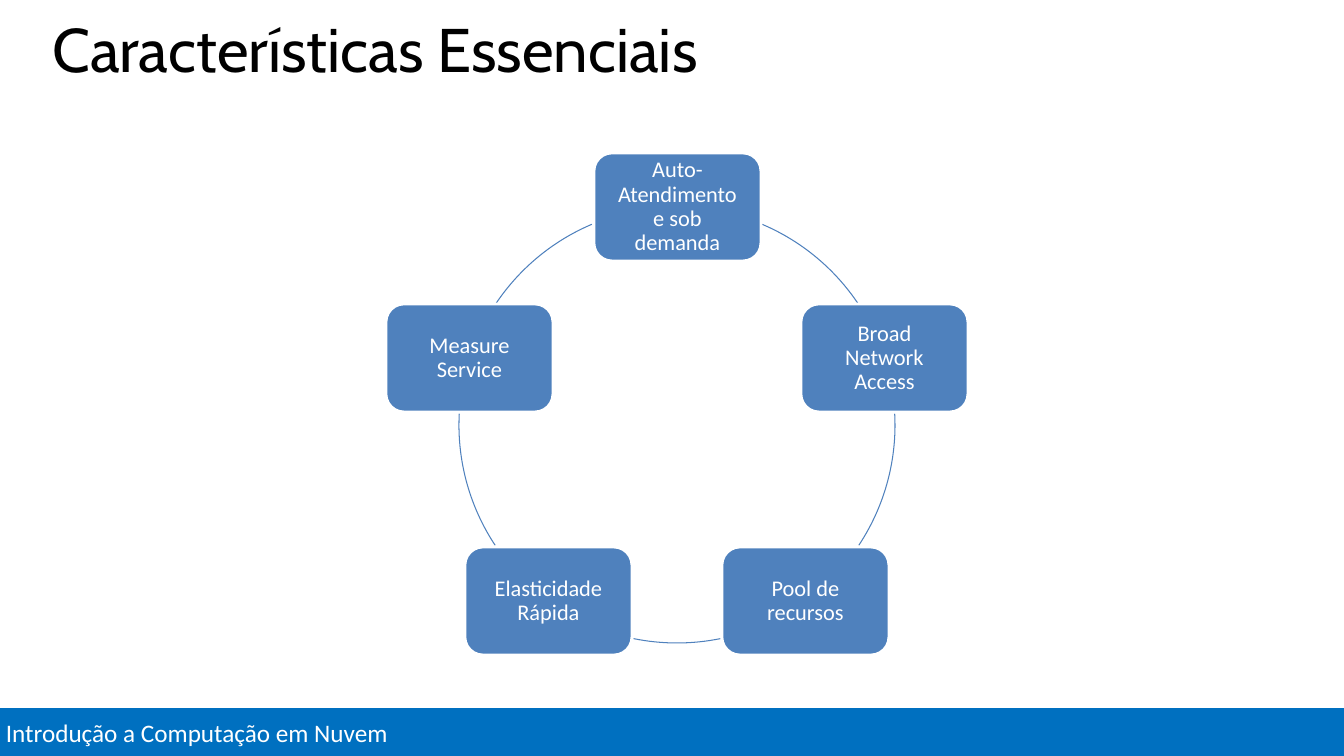
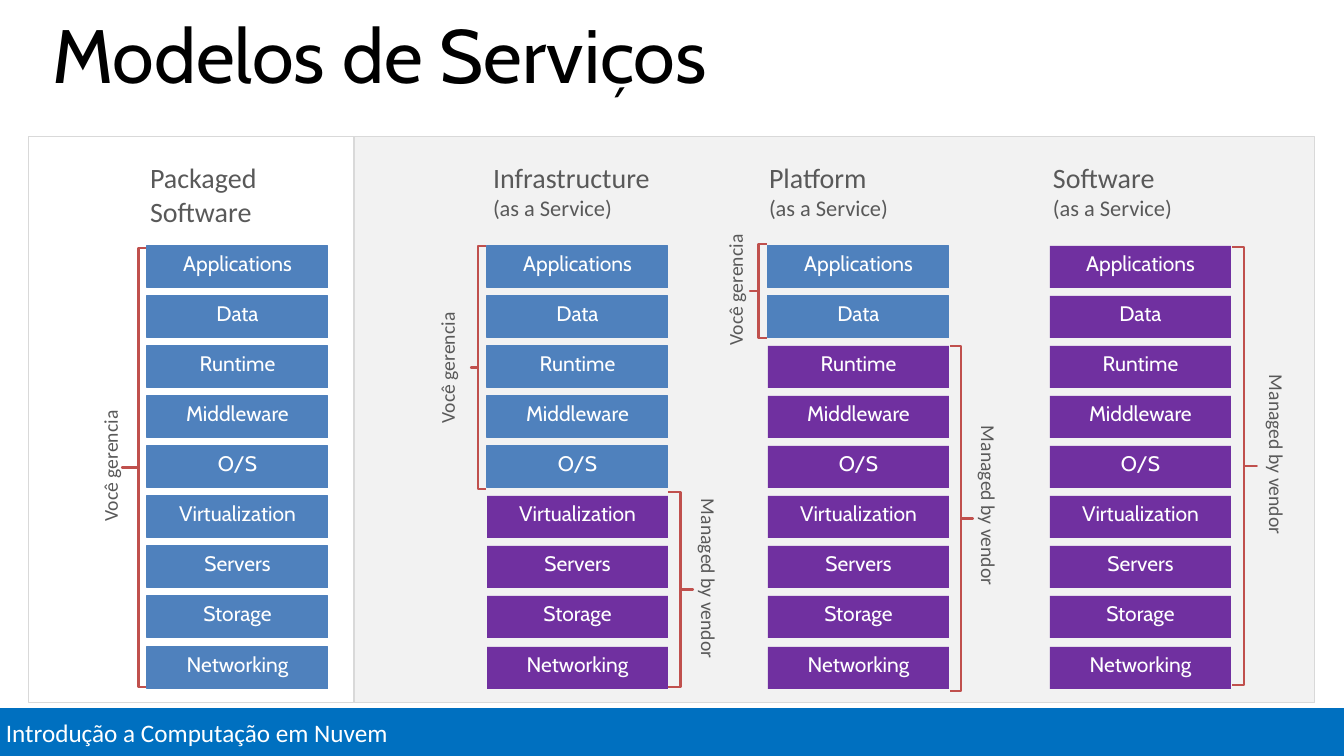
from math import cos, radians, sin

from pptx import Presentation
from pptx.dml.color import RGBColor
from pptx.enum.shapes import MSO_SHAPE
from pptx.enum.text import MSO_ANCHOR, MSO_AUTO_SIZE, PP_ALIGN
from pptx.util import Emu, Pt

SCALE = 914400 / 100.8  # EMU in one px

WHITE = RGBColor(0xFF, 0xFF, 0xFF)
BLACK = RGBColor(0x00, 0x00, 0x00)
BAND = RGBColor(0x00, 0x70, 0xC0)
BLUE = RGBColor(0x4F, 0x81, 0xBD)
PURPLE = RGBColor(0x70, 0x30, 0xA0)
RED = RGBColor(0xC0, 0x50, 0x4D)
GRAY = RGBColor(0x59, 0x59, 0x59)
PALE = RGBColor(0xF2, 0xF2, 0xF2)
EDGE = RGBColor(0xD9, 0xD9, 0xD9)
HEAD, BODY = "Cabin", "Calibri"

TRAITS = ["Auto-Atendimento e sob demanda", "Broad Network Access",
          "Pool de recursos", "Elasticidade Rápida", "Measure Service"]
# Start and end angles of the arcs between the boxes
ARCS = [(293, 326), (357, 33.5), (78.5, 101.5), (146.5, 183), (214, 247)]

LAYERS = ["Applications", "Data", "Runtime", "Middleware", "O/S",
          "Virtualization", "Servers", "Storage", "Networking"]
# Left of the stack, layers run by the user, left of the heading, heading lines
MODELS = [
    (147, 9, 150, [("Packaged", 20), ("Software", 20)]),
    (487, 5, 493, [("Infrastructure", 20), ("(as a Service)", 16)]),
    (768, 2, 769, [("Platform", 20), ("(as a Service)", 16)]),
    (1050, 0, 1053, [("Software", 20), ("(as a Service)", 16)]),
]
# Brace box, then left and top of its label
USER = [((122, 248, 33, 439), 88, 405), ((471, 246, 15, 243), 425, 307),
        ((750, 244, 17, 94), 713, 229)]
VENDOR = [((668, 492, 25, 195), 687, 499), ((950, 346, 23, 345), 967, 426),
          ((1232, 247, 25, 438), 1255, 375)]


def px(*nums):
    return [Emu(round(n * SCALE)) for n in nums]


def style(para, size, font, color, align=PP_ALIGN.LEFT):
    para.font.size = Pt(size)
    para.font.name = font
    para.font.color.rgb = color
    para.alignment = align


def pad(frame, side, edge):
    frame.margin_left, frame.margin_right = px(side, side)
    frame.margin_top, frame.margin_bottom = px(edge, edge)


def shape(slide, kind, box, fill=None, line=None, width=0.75):
    item = slide.shapes.add_shape(kind, *px(*box))
    item.shadow.inherit = False
    if fill is None:
        item.fill.background()
    else:
        item.fill.solid()
        item.fill.fore_color.rgb = fill
    if line is None:
        item.line.fill.background()
    else:
        item.line.color.rgb = line
        item.line.width = Pt(width)
    return item


def textbox(slide, box):
    frame = slide.shapes.add_textbox(*px(*box)).text_frame
    frame.word_wrap = True
    pad(frame, 0, 0)
    return frame


def footer(prs, slide):
    """Put the band on the master, so that every slide shows it."""
    band = shape(slide, MSO_SHAPE.RECTANGLE, (-4, 707, 1351, 51),
                 BAND, WHITE, 2)
    frame = band.text_frame
    frame.text = "Introdução a Computação em Nuvem"
    style(frame.paragraphs[0], 18, BODY, WHITE)
    band.element.nvSpPr.cNvPr.set("id", "20")
    prs.slide_master.element.cSld.spTree.insert(2, band.element)


def title(slide, text, size):
    frame = slide.shapes.title.text_frame
    frame.text = text
    frame.vertical_anchor = MSO_ANCHOR.TOP
    frame.auto_size = MSO_AUTO_SIZE.NONE
    para = frame.paragraphs[0]
    para.line_spacing = 0.8
    style(para, size, HEAD, BLACK)


def cycle(slide, mid, top, radius):
    """Boxes spaced evenly on a circle, with arcs between them."""
    for start, end in ARCS:
        arc = shape(slide, MSO_SHAPE.ARC,
                    (mid - radius, top, 2 * radius, 2 * radius), line=BLUE)
        arc.adjustments[0] = start * 0.6
        arc.adjustments[1] = end * 0.6
    wide, high = 167, 108
    for i, text in enumerate(TRAITS):
        turn = radians(i * 360 / len(TRAITS))
        left = round(mid + radius * sin(turn) - wide / 2)
        y = round(top + radius - radius * cos(turn) - high / 2)
        frame = shape(slide, MSO_SHAPE.ROUNDED_RECTANGLE,
                      (left, y, wide, high), BLUE, WHITE, 2).text_frame
        frame.text = text
        pad(frame, 12, 12)
        para = frame.paragraphs[0]
        para.line_spacing = 0.9
        style(para, 16, BODY, WHITE, PP_ALIGN.CENTER)


def brace(slide, kind, box):
    item = shape(slide, kind, box, line=RED, width=1.5)
    item.adjustments[0] = 0
    item.adjustments[1] = 0.5


def label(slide, text, box, turn):
    frame = textbox(slide, box)
    frame.text = text
    frame.vertical_anchor = MSO_ANCHOR.MIDDLE
    frame._txBody.bodyPr.set("vert", turn)
    style(frame.paragraphs[0], 14, BODY, GRAY, PP_ALIGN.CENTER)


def heading(slide, left, lines):
    frame = textbox(slide, (left, 161, 206, 70))
    for i, (text, size) in enumerate(lines):
        para = frame.add_paragraph() if i else frame.paragraphs[0]
        para.text = text
        style(para, size, BODY, GRAY)


def stack(slide, left, own):
    """Layers from top to bottom; the first `own` are the user's."""
    for i, text in enumerate(LAYERS):
        fill, line = (BLUE, BLUE) if i < own else (PURPLE, None)
        frame = shape(slide, MSO_SHAPE.RECTANGLE,
                      (left, 246 + 401 * i // 8, 181, 42),
                      fill, line).text_frame
        frame.text = text
        frame.vertical_anchor = MSO_ANCHOR.TOP
        pad(frame, 0, 5)
        style(frame.paragraphs[0], 15, HEAD, WHITE, PP_ALIGN.CENTER)


def models(slide):
    # Panels
    shape(slide, MSO_SHAPE.RECTANGLE, (354, 137, 961, 566), PALE, EDGE)
    shape(slide, MSO_SHAPE.RECTANGLE, (28, 137, 326, 566), line=EDGE)
    # Braces and their labels
    for box, left, top in USER:
        brace(slide, MSO_SHAPE.LEFT_BRACE, box)
        label(slide, "Você gerencia", (left, top, 44, 122), "vert270")
    for box, left, top in VENDOR:
        brace(slide, MSO_SHAPE.RIGHT_BRACE, box)
        label(slide, "Managed by vendor", (left, top, 44, 187), "eaVert")
    # Headed stacks
    for left, own, start, lines in MODELS:
        heading(slide, start, lines)
        stack(slide, left, own)


def main():
    prs = Presentation()
    prs.slide_width, prs.slide_height = px(1344, 756)
    plan = prs.slide_layouts[5]
    spot = plan.placeholders[0]
    spot.left, spot.top, spot.width, spot.height = px(42, 20, 1270, 117)

    # Essential traits
    slide = prs.slides.add_slide(plan)
    footer(prs, slide)
    title(slide, "Características Essenciais", 44)
    cycle(slide, 677, 207, 218)

    # Service models
    slide = prs.slides.add_slide(plan)
    title(slide, "Modelos de Serviços", 54)
    models(slide)

    prs.save("out.pptx")


if __name__ == "__main__":
    main()
